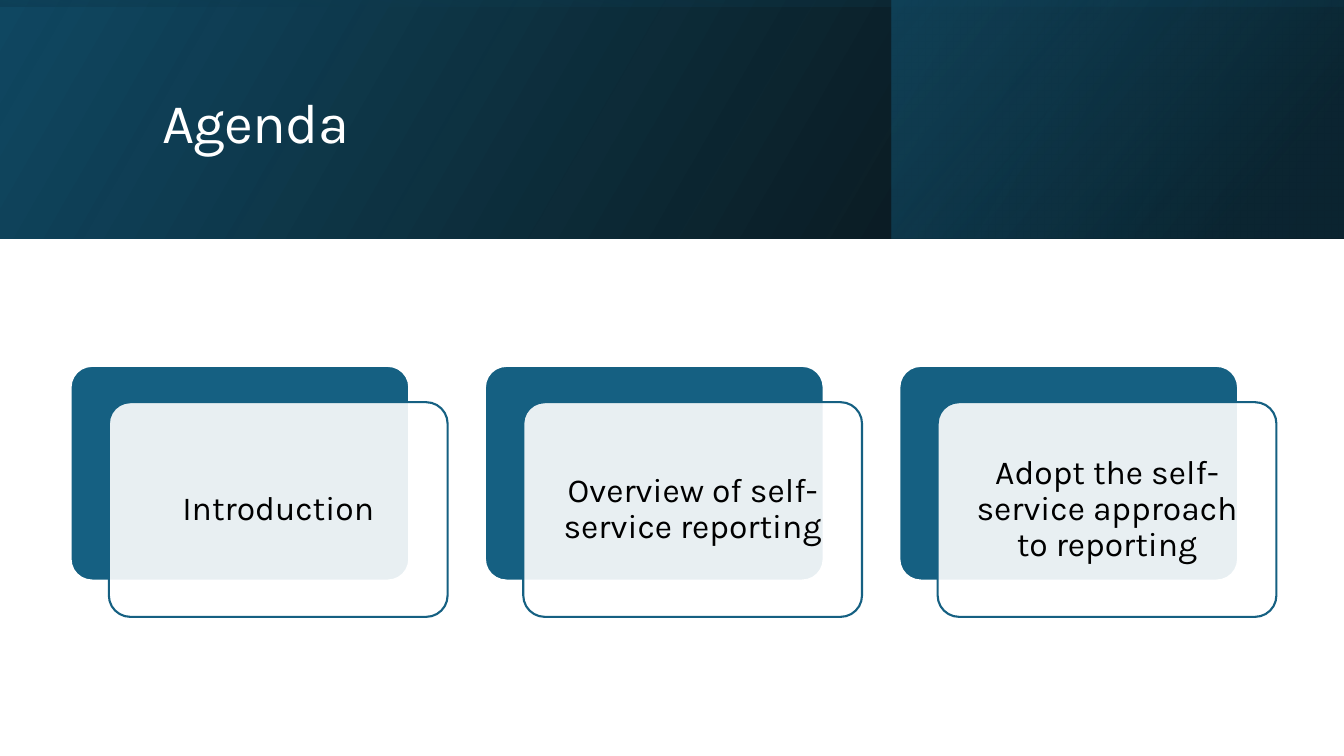
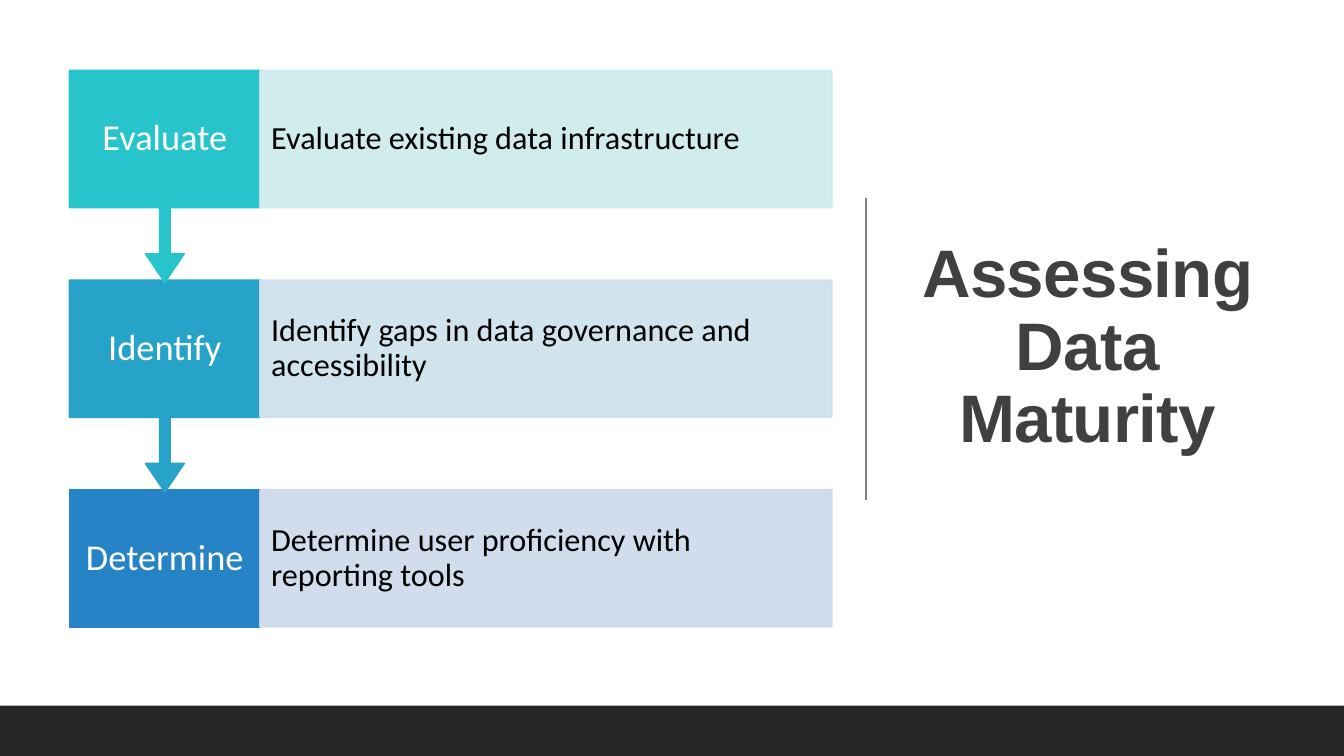
from pptx import Presentation
from pptx.dml.color import RGBColor
from pptx.enum.shapes import MSO_CONNECTOR, MSO_SHAPE
from pptx.enum.text import MSO_ANCHOR, MSO_AUTO_SIZE, PP_ALIGN
from pptx.oxml.ns import qn
from pptx.util import Inches, Pt
from lxml import etree

RECT = MSO_SHAPE.RECTANGLE
ROUND = MSO_SHAPE.ROUNDED_RECTANGLE
STRAIGHT = MSO_CONNECTOR.STRAIGHT
MIDDLE = MSO_ANCHOR.MIDDLE
NO_FIT = MSO_AUTO_SIZE.NONE
LEFT, CENTER = PP_ALIGN.LEFT, PP_ALIGN.CENTER

WHITE = RGBColor(0xFF, 0xFF, 0xFF)
BLACK = RGBColor(0x00, 0x00, 0x00)
CHARCOAL = RGBColor(0x26, 0x26, 0x26)
DARK = RGBColor(0x40, 0x40, 0x40)
GREY = RGBColor(0x7F, 0x7F, 0x7F)
NAVY = RGBColor(0x0B, 0x30, 0x41)
OCEAN = RGBColor(0x10, 0x48, 0x62)
TEAL = RGBColor(0x15, 0x60, 0x82)
AQUA = RGBColor(0x28, 0xC4, 0xCC)
CYAN = RGBColor(0x27, 0xA3, 0xC9)
BLUE = RGBColor(0x26, 0x83, 0xC6)
PALE_AQUA = RGBColor(0xCD, 0xEA, 0xEC)
PALE_CYAN = RGBColor(0xCD, 0xE1, 0xEB)
PALE_BLUE = RGBColor(0xCD, 0xD9, 0xEA)


def fade(shape, alphas):
    colors = list(shape._element.spPr.iter(qn("a:srgbClr")))
    for color, alpha in zip(colors, alphas):
        etree.SubElement(color, qn("a:alpha")).set("val", str(alpha * 1000))


def write(shape, text, font, size, color, align, insets):
    frame = shape.text_frame
    frame.word_wrap = True
    frame.auto_size = NO_FIT
    frame.vertical_anchor = MIDDLE
    frame.margin_left, frame.margin_top, frame.margin_right, frame.margin_bottom = map(Inches, insets)
    frame.text = text
    para = frame.paragraphs[0]
    para.alignment = align
    para.line_spacing = 0.9
    para.font.name = font
    para.font.size = Pt(size)
    para.font.color.rgb = color


prs = Presentation()
prs.slide_width, prs.slide_height = Inches(13.33), Inches(7.5)

titles = [
    ("Agenda", (1.51, 0.38, 10.63, 1.72), "Karla", 40, WHITE, LEFT, False),
    ("Assessing Data Maturity", (8.94, 0.69, 3.69, 5.53), "Arial", 48, DARK, CENTER, True),
]
slides = []
for text, place, font, size, color, align, bold in titles:
    slide = prs.slides.add_slide(prs.slide_layouts[5])
    title = slide.shapes.title
    title.left, title.top, title.width, title.height = map(Inches, place)
    write(title, text, font, size, color, align, (0.1, 0.05, 0.1, 0.05))
    para = title.text_frame.paragraphs[0]
    para.font.bold = bold
    para.runs[0]._r.get_or_add_rPr().set("spc", "-50")
    slides.append(slide)
agenda, assess = slides

bands = [
    (0, 13.33, 150, (0, BLACK, 96), (1, OCEAN, 100)),
    (8.84, 4.49, 140, (0.19, NAVY, 68), (1, TEAL, 48)),
    (0, 13.33, 260, (0.23, OCEAN, 16), (1, BLACK, 45)),
]
for left, width, angle, *stops in bands:
    band = agenda.shapes.add_shape(RECT, Inches(left), 0, Inches(width), Inches(2.37))
    band.shadow.inherit = False
    band.line.fill.background()
    band.fill.gradient()
    band.fill.gradient_angle = angle
    for stop, (place, color, alpha) in zip(band.fill.gradient_stops, stops):
        stop.position = place
        stop.color.rgb = color
    fade(band, [alpha for place, color, alpha in stops])
agenda.shapes._spTree.append(agenda.shapes.title._element)

topics = [
    "Introduction",
    "Overview of self-service reporting",
    "Adopt the self-service approach to reporting",
]
for i, topic in enumerate(topics):
    left = 0.7 + i * 4.11
    for x, y, fill, line in [(left, 3.63, TEAL, WHITE), (left + 0.38, 3.99, WHITE, TEAL)]:
        card = agenda.shapes.add_shape(ROUND, Inches(x), Inches(y), Inches(3.36), Inches(2.13))
        card.adjustments[0] = 0.1
        card.shadow.inherit = False
        card.fill.solid()
        card.fill.fore_color.rgb = fill
        card.line.color.rgb = line
        card.line.width = Pt(1.5)
    fade(card, [90])
    write(card, topic, "Karla", 24, BLACK, CENTER, (0.16, 0.16, 0.16, 0.16))

rule = assess.shapes.add_connector(STRAIGHT, Inches(8.59), Inches(1.96), Inches(8.59), Inches(4.96))
rule.line.color.rgb = GREY
rule.line.width = Pt(1)
etree.SubElement(rule._element.spPr, qn("a:effectLst"))

foot = assess.shapes.add_shape(RECT, 0, Inches(7), prs.slide_width, Inches(0.5))
foot.shadow.inherit = False
foot.fill.solid()
foot.fill.fore_color.rgb = CHARCOAL
foot.line.fill.background()

steps = [
    ("Evaluate", "Evaluate existing data infrastructure", AQUA, PALE_AQUA),
    ("Identify", "Identify gaps in data governance and accessibility", CYAN, PALE_CYAN),
    ("Determine", "Determine user proficiency with reporting tools", BLUE, PALE_BLUE),
]
side, wide, tall = 0.69, 1.89, 1.36
mid = side + wide / 2
arrow = [(0.05, 1.36), (0.05, 1.82), (0.19, 1.82), (0, 2.1), (-0.19, 1.82), (-0.05, 1.82), (-0.05, 1.36)]
for i, (verb, detail, color, pale) in reversed(list(enumerate(steps))):
    top = 0.7 + i * 2.08
    last = i == len(steps) - 1
    if last:
        label = assess.shapes.add_shape(RECT, Inches(side), Inches(top), Inches(wide), Inches(tall))
    else:
        outline = [(side + wide, top + tall)]
        outline += [(mid + x, top + y) for x, y in arrow]
        outline += [(side, top + tall), (side, top), (side + wide, top)]
        points = [(Inches(x), Inches(y)) for x, y in outline]
        pen = assess.shapes.build_freeform(*points[0])
        pen.add_line_segments(points[1:])
        label = pen.convert_to_shape()
    panel = assess.shapes.add_shape(RECT, Inches(side + wide), Inches(top), Inches(5.67), Inches(tall))
    for box, fill in [(label, color), (panel, pale)]:
        box.shadow.inherit = False
        box.fill.solid()
        box.fill.fore_color.rgb = fill
        box.line.color.rgb = fill
        box.line.width = Pt(1.25)
    fade(panel, [90, 90])
    write(label, verb, "Calibri", 26, WHITE, CENTER, (0.13, 0.2, 0.13, 0.2 if last else 0.94))
    write(panel, detail, "Calibri", 23, BLACK, LEFT, (0.11, 0.32, 0.11, 0.32))

prs.save("out.pptx")
